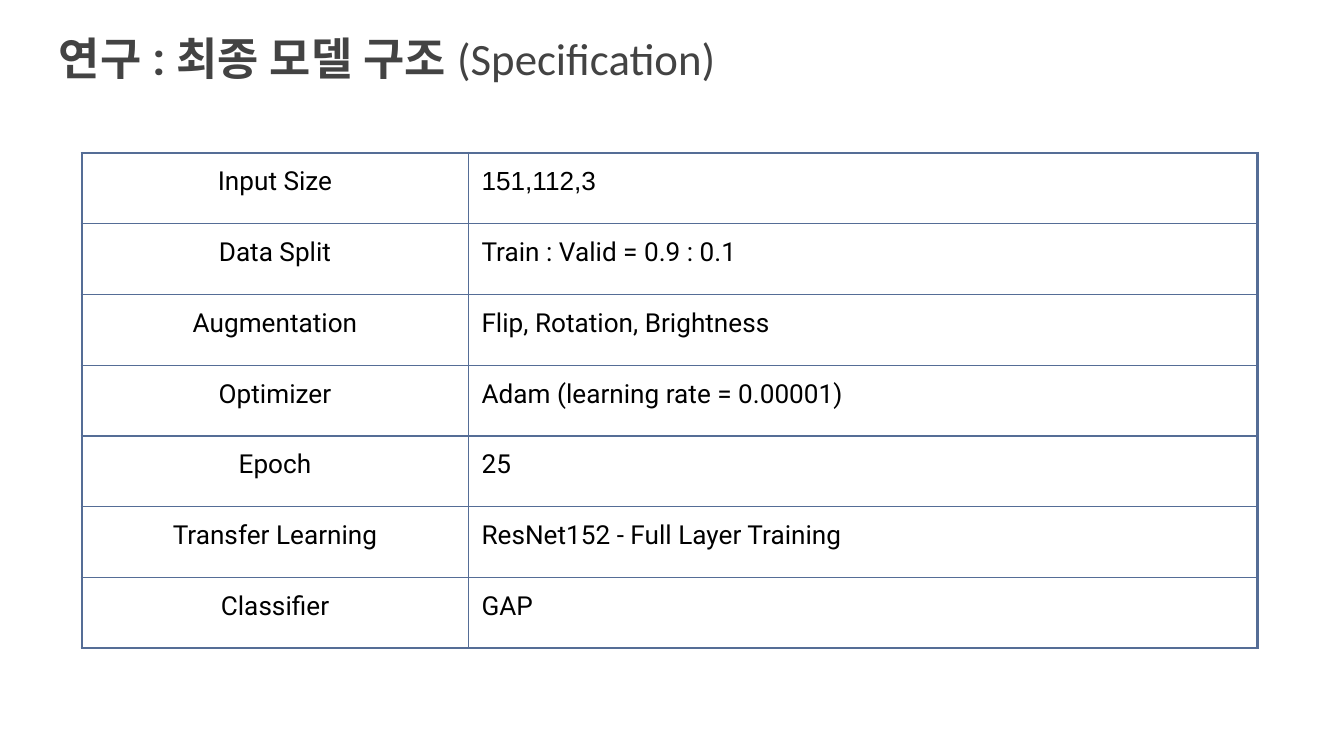
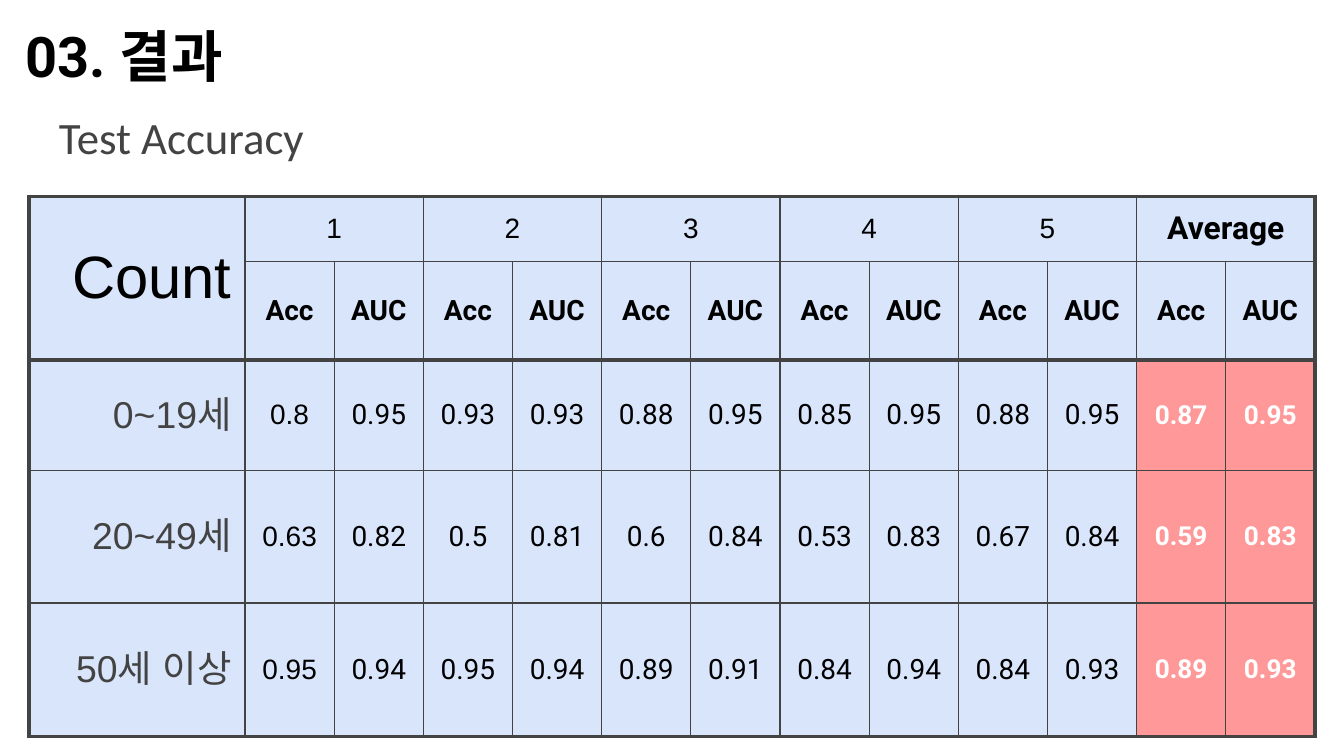
import pptx
import pptx.util
import pptx.dml.color
import pptx.enum.text
import pptx.oxml.ns
from lxml import etree

Pt = pptx.util.Pt
ALIGN = pptx.enum.text.PP_ALIGN
ANCHOR = pptx.enum.text.MSO_ANCHOR

# Content
SPEC_TITLE = [("연구 : 최종 모델 구조 ", "title_bold"), ("(Specification)", "title")]
SPECS = [
    ("Input Size", "151,112,3"),
    ("Data Split", "Train : Valid = 0.9 : 0.1"),
    ("Augmentation", "Flip, Rotation, Brightness"),
    ("Optimizer", "Adam (learning rate = 0.00001)"),
    ("Epoch", "25"),
    ("Transfer Learning", "ResNet152 - Full Layer Training"),
    ("Classifier", "GAP"),
]
SECTION = [("03. 결과", "section")]
RESULT_TITLE = [("Test Accuracy", "title")]
CORNER = "Count"
GROUPS = ["1", "2", "3", "4", "5", "Average"]
METRICS = ["Acc", "AUC"]
SCORES = {
    "0~19세": "0.8 0.95 0.93 0.93 0.88 0.95 0.85 0.95 0.88 0.95 0.87 0.95",
    "20~49세": "0.63 0.82 0.5 0.81 0.6 0.84 0.53 0.83 0.67 0.84 0.59 0.83",
    "50세 이상": "0.95 0.94 0.95 0.94 0.89 0.91 0.84 0.94 0.84 0.93 0.89 0.93",
}

# Theme: colours, and text styles as (font, size, colour, bold)
INK, GREY, WHITE = "000000", "434343", "FFFFFF"
THEME = {
    "spec_line": "556D96",
    "score_line": GREY,
    "score_fill": "D9E5FB",
    "average_fill": "FF9999",
    "text": {
        "title": ("Calibri", 24, GREY, False),
        "title_bold": ("Roboto", 24, GREY, True),
        "section": ("Roboto", 30, INK, True),
        "spec": ("Roboto", 14, INK, False),
        "spec_first": ("Arial", 14, INK, False),
        "corner": ("Arial", 32, INK, False),
        "group": ("Arial", 15, INK, False),
        "average_head": ("Roboto", 17, INK, True),
        "metric": ("Roboto", 15, INK, True),
        "age": ("Arial", 20, GREY, False),
        "score_first": ("Arial", 15, INK, False),
        "score": ("Roboto", 15, INK, False),
        "average": ("Roboto", 14, WHITE, True),
    },
}
PAD = 7.2
MARGINS = {"margin_" + side: Pt(PAD) for side in ("left", "top", "right", "bottom")}
THIN = 0.75


def set_all(obj, values):
    for name, value in values.items():
        setattr(obj, name, value)


def rgb(colour):
    return pptx.dml.color.RGBColor.from_string(colour)


def add_run(p, text, style):
    font, size, colour, bold = THEME["text"][style]
    r = p.add_run()
    r.text = text
    set_all(r.font, {"name": font, "size": Pt(size), "bold": bold})
    r.font.color.rgb = rgb(colour)
    ea = etree.SubElement(r.font._element, pptx.oxml.ns.qn("a:ea"))
    ea.set("typeface", font)


def add_text(s, box, runs, anchor=ANCHOR.TOP):
    tf = s.shapes.add_textbox(*map(Pt, box)).text_frame
    set_all(tf, {"word_wrap": True, "vertical_anchor": anchor, **MARGINS})
    for text, style in runs:
        add_run(tf.paragraphs[0], text, style)


def add_title(s, top, runs):
    add_text(s, (24.5, top, 671, 45), runs)


def add_grid(s, left, top, widths, heights):
    sp = s.shapes.add_table(len(heights), len(widths), Pt(left), Pt(top),
                            Pt(sum(widths)), Pt(sum(heights)))
    table = sp.table
    set_all(table, {"first_row": False, "horz_banding": False})
    for column, width in zip(table.columns, widths):
        column.width = Pt(width)
    for row, height in zip(table.rows, heights):
        row.height = Pt(height)
    return table


def fill_cell(cell, text, style, align, anchor):
    set_all(cell, {"vertical_anchor": anchor, **MARGINS})
    p = cell.text_frame.paragraphs[0]
    p.alignment = align
    add_run(p, text, style)


def paint_cell(cell, colour):
    if colour:
        cell.fill.solid()
        cell.fill.fore_color.rgb = rgb(colour)
    else:
        cell.fill.background()


def rule_grid(table, colour, thick, header_rows=0):
    """Thick lines around the grid and under its header, thin ones inside."""
    n_rows, n_cols = len(table.rows), len(table.columns)
    thick_rows = {0, header_rows, n_rows}
    for i in range(n_rows):
        for j in range(n_cols):
            cell = table.cell(i, j)
            bottom = i + (cell.span_height if cell.is_merge_origin else 1)
            right = j + (cell.span_width if cell.is_merge_origin else 1)
            edges = {"lnL": j == 0, "lnR": right == n_cols,
                     "lnT": i in thick_rows, "lnB": bottom in thick_rows}
            tc_pr = cell._tc.get_or_add_tcPr()
            position = 0
            for tag, is_thick in edges.items():
                if cell.is_spanned and not is_thick:
                    continue
                ln = etree.Element(pptx.oxml.ns.qn("a:" + tag))
                ln.set("w", str(int(Pt(thick if is_thick else THIN))))
                solid = etree.SubElement(ln, pptx.oxml.ns.qn("a:solidFill"))
                etree.SubElement(solid, pptx.oxml.ns.qn("a:srgbClr")).set("val", colour)
                tc_pr.insert(position, ln)
                position += 1


def build_spec(s):
    table = add_grid(s, 43.9, 82, [206.9, 423], [37.9] * len(SPECS))
    for i, (name, value) in enumerate(SPECS):
        fill_cell(table.cell(i, 0), name, "spec", ALIGN.CENTER, ANCHOR.TOP)
        fill_cell(table.cell(i, 1), value, "spec" if i else "spec_first",
                  ALIGN.LEFT, ANCHOR.TOP)
        for j in range(2):
            paint_cell(table.cell(i, j), None)
    rule_grid(table, THEME["spec_line"], 1.5)
    add_title(s, 9.3, SPEC_TITLE)


def build_results(s):
    n_scores = len(GROUPS) * len(METRICS)
    average_from = n_scores - len(METRICS) + 1
    table = add_grid(s, 15.4, 105.2, [115.9] + [47.77] * n_scores,
                     [34.4, 34.4, 59, 71.2, 71.5])

    def put(i, j, text, style, align=ALIGN.CENTER):
        fill_cell(table.cell(i, j), text, style, align, ANCHOR.MIDDLE)

    # Header: a corner cell, then one pair of metrics per group
    table.cell(0, 0).merge(table.cell(1, 0))
    put(0, 0, CORNER, "corner", ALIGN.RIGHT)
    for g, group in enumerate(GROUPS):
        first = 1 + g * len(METRICS)
        table.cell(0, first).merge(table.cell(0, first + len(METRICS) - 1))
        put(0, first, group, "average_head" if first == average_from else "group")
        for m, metric in enumerate(METRICS):
            put(1, first + m, metric, "metric")

    # Scores by age
    for i, (age, scores) in enumerate(SCORES.items(), start=2):
        put(i, 0, age, "age", ALIGN.RIGHT)
        for j, score in enumerate(scores.split(), start=1):
            style = "average" if j >= average_from else "score" if j > 1 else "score_first"
            put(i, j, score, style)

    for i in range(len(table.rows)):
        for j in range(n_scores + 1):
            is_average = i >= 2 and j >= average_from
            paint_cell(table.cell(i, j),
                       THEME["average_fill" if is_average else "score_fill"])
    rule_grid(table, THEME["score_line"], 2.25, header_rows=2)
    add_text(s, (6.5, 3.6, 720, 51.8), SECTION, ANCHOR.MIDDLE)
    add_title(s, 51.8, RESULT_TITLE)


def main():
    prs = pptx.Presentation()
    set_all(prs, {"slide_width": Pt(720), "slide_height": Pt(405)})
    for build in (build_spec, build_results):
        build(prs.slides.add_slide(prs.slide_layouts[6]))
    prs.save("out.pptx")


if __name__ == "__main__":
    main()
